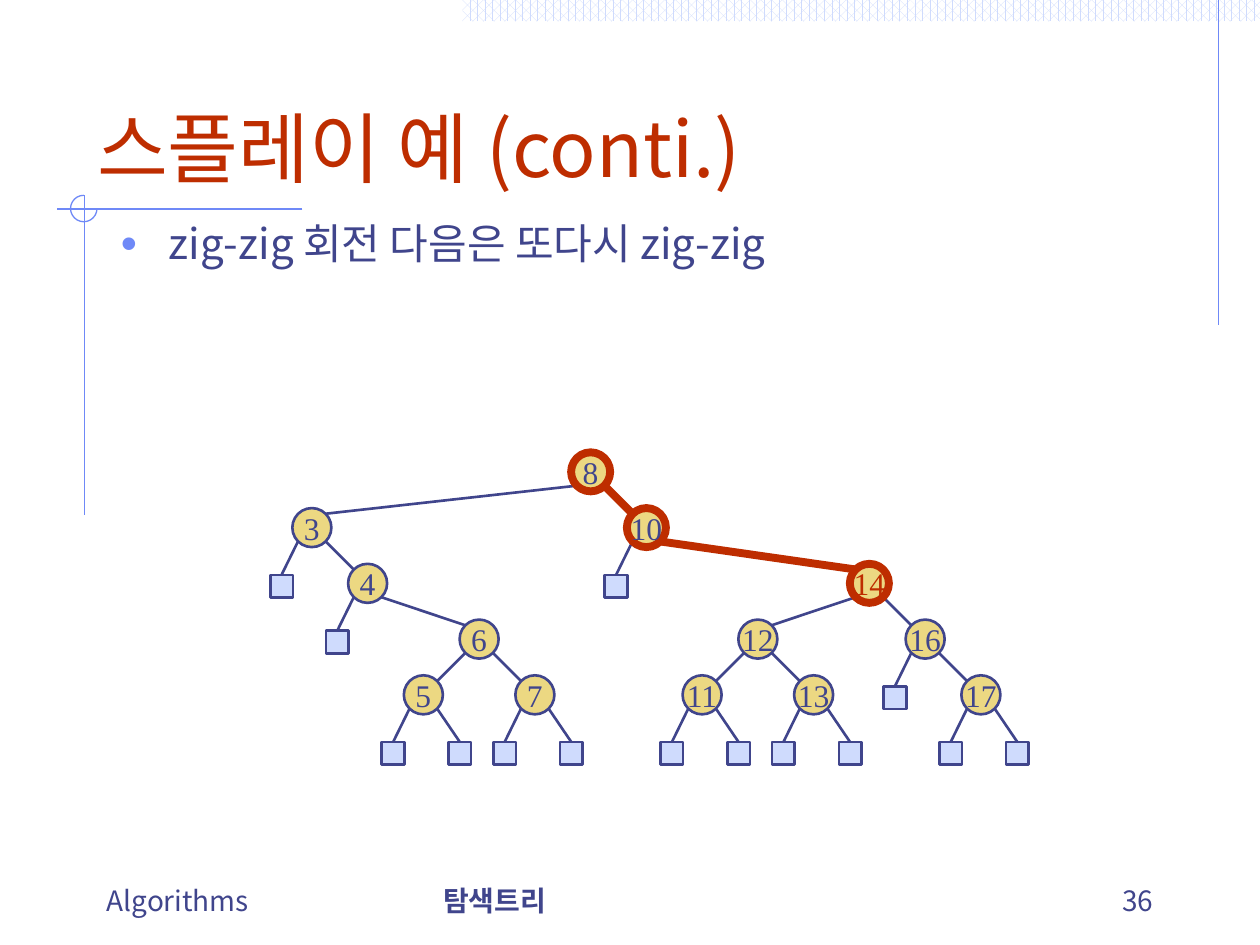
from lxml.etree import SubElement
from pptx import Presentation
from pptx.dml.color import RGBColor
from pptx.enum.dml import MSO_PATTERN
from pptx.enum.shapes import MSO_CONNECTOR, MSO_SHAPE
from pptx.enum.text import MSO_ANCHOR, MSO_AUTO_SIZE, PP_ALIGN
from pptx.oxml.ns import qn
from pptx.util import Inches, Pt

COLORS = {
    "ink": "40458C",
    "accent": "BE2D00",
    "rule": "6F89F7",
    "pale": "CFDBFD",
    "gold": "ECD882",
    "white": "FFFFFF",
}
SANS, SERIF = "Noto Sans CJK KR", "Times New Roman"

# key: (left child, right child); None is an external node
TREE = {
    8: (3, 10), 3: (None, 4), 4: (None, 6), 6: (5, 7),
    5: (None, None), 7: (None, None), 10: (None, 14), 14: (12, 16),
    12: (11, 13), 11: (None, None), 13: (None, None),
    16: (None, 17), 17: (None, None),
}
ROOT = 8
SPLAY_PATH = (8, 10, 14)
STEP = 0.4425
FIRST_X, FIRST_Y = 2.475, 3.745
NODE, LEAF = 0.31, 0.18
CORNER = 0.11
LEAF_DX = (-0.24, 0.29)
LEAF_DY = 0.375


def rgb(name):
    return RGBColor.from_string(COLORS[name])


def place(shape, x, y, w, h):
    shape.left, shape.top = Inches(x), Inches(y)
    shape.width, shape.height = Inches(w), Inches(h)


def write(shape, text, size=16, font=SANS, color="ink", bold=False,
          align=PP_ALIGN.LEFT, anchor=MSO_ANCHOR.BOTTOM, wrap=True, inset=None):
    tf = shape.text_frame
    tf.word_wrap = wrap
    tf.auto_size = MSO_AUTO_SIZE.NONE
    tf.vertical_anchor = anchor
    if inset is not None:
        tf.margin_left = tf.margin_right = Inches(inset)
        tf.margin_top = tf.margin_bottom = Inches(inset)
    p = tf.paragraphs[0]
    p.alignment = align
    r = p.add_run()
    r.text = text
    r.font.size, r.font.name, r.font.bold = Pt(size), font, bold
    r.font.color.rgb = rgb(color)
    SubElement(r.font._element, qn("a:ea")).set("typeface", font)
    return p


def add_bullet(p, color):
    p.line_spacing = 0.9
    p.space_before = Pt(5)
    pPr = p._p.get_or_add_pPr()
    pPr.set("marL", str(Inches(0.38)))
    pPr.set("indent", str(-Inches(0.38)))
    SubElement(SubElement(pPr, qn("a:buClr")), qn("a:srgbClr")).set("val", COLORS[color])
    SubElement(pPr, qn("a:buSzPct")).set("val", "110000")
    SubElement(pPr, qn("a:buChar")).set("char", "•")


def add_line(s, x1, y1, x2, y2, color="ink", width=1.5):
    line = s.shapes.add_connector(MSO_CONNECTOR.STRAIGHT, Inches(x1), Inches(y1),
                                  Inches(x2), Inches(y2))
    line.line.color.rgb = rgb(color)
    line.line.width = Pt(width)
    SubElement(line._element.spPr, qn("a:effectLst"))
    return line


def add_shape(s, kind, x, y, w, h, fill=None, color=None, width=1.5):
    sp = s.shapes.add_shape(kind, Inches(x), Inches(y), Inches(w), Inches(h))
    sp.shadow.inherit = False
    if fill:
        sp.fill.solid()
        sp.fill.fore_color.rgb = rgb(fill)
    else:
        sp.fill.background()
    if color:
        sp.line.color.rgb = rgb(color)
        sp.line.width = Pt(width)
    else:
        sp.line.fill.background()
    return sp


def add_decoration(s):
    band = add_shape(s, MSO_SHAPE.RECTANGLE, 3.67, 0, 6.33, 0.17)
    band.fill.patterned()
    band.fill.pattern = MSO_PATTERN.PERCENT_60
    band.fill.fore_color.rgb = rgb("pale")
    band.fill.back_color.rgb = rgb("white")
    for ends in ((9.67, 0, 9.67, 2.58), (2.4, 1.66, 0.45, 1.66), (0.67, 1.55, 0.67, 4.09)):
        add_line(s, *ends, color="rule", width=0.75)
    arc = add_shape(s, MSO_SHAPE.ARC, 0.56, 1.55, 0.21, 0.21, color="rule", width=0.75)
    arc.adjustments[0], arc.adjustments[1] = 0, 162  # 0 to 270 degrees


def node_centres():
    """Column is the rank of the key, row is its depth."""
    depth = {ROOT: 0}
    for key, children in TREE.items():
        depth.update({c: depth[key] + 1 for c in children if c})
    return {key: (FIRST_X + STEP * rank, FIRST_Y + STEP * depth[key])
            for rank, key in enumerate(sorted(TREE))}


def add_leaf(s, x, y, side):
    """External node below the internal node centred at x, y."""
    leaf_x, leaf_y = x + LEAF_DX[side], y + LEAF_DY
    leaf = add_shape(s, MSO_SHAPE.RECTANGLE, leaf_x - LEAF / 2, leaf_y,
                     LEAF, LEAF, "pale", "ink")
    sign = 2 * side - 1
    edge = add_line(s, leaf_x, leaf_y, x + sign * CORNER, y + CORNER)
    edge.begin_connect(leaf, 0)


def add_edge(s, parent, child, side, on_path):
    (px, py), (cx, cy) = parent, child
    dx = CORNER * (2 * side - 1)
    style = {"color": "accent", "width": 4.5} if on_path else {}
    add_line(s, cx - dx, cy - CORNER, px + dx, py + CORNER, **style)


def add_node(s, key, x, y):
    style = {"color": "accent", "width": 4.5} if key in SPLAY_PATH else {"color": "ink"}
    sp = add_shape(s, MSO_SHAPE.OVAL, x - NODE / 2, y - NODE / 2, NODE, NODE, "gold", **style)
    write(sp, str(key), size=18, font=SERIF, align=PP_ALIGN.CENTER,
          color="accent" if key == SPLAY_PATH[-1] else "ink",
          anchor=MSO_ANCHOR.MIDDLE, wrap=False, inset=0)


def add_tree(s):
    centres = node_centres()
    for key, children in TREE.items():
        for side, child in enumerate(children):
            if child is None:
                add_leaf(s, *centres[key], side)
            else:
                on_path = key in SPLAY_PATH and child in SPLAY_PATH
                add_edge(s, centres[key], centres[child], side, on_path)
    for key, centre in centres.items():
        add_node(s, key, *centre)


def add_footer(s):
    for text, x, w, style in (
        ("Algorithms", 0.75, 2.37, {}),
        ("탐색트리", 3.42, 3.17, {"bold": True}),
        ("36", 7.17, 2.08, {"align": PP_ALIGN.RIGHT}),
    ):
        box = s.shapes.add_textbox(Inches(x), Inches(6.83), Inches(w), Inches(0.5))
        write(box, text, **style)


def main():
    prs = Presentation()
    prs.slide_width, prs.slide_height = Inches(10), Inches(7.5)
    s = prs.slides.add_slide(prs.slide_layouts[1])
    add_decoration(s)
    title, body = s.placeholders
    place(title, 0.67, 0.33, 8.63, 1.25)
    write(title, "스플레이 예 (conti.)", size=44, color="accent")
    place(body, 0.86, 1.72, 8.36, 0.63)
    p = write(body, "zig-zig 회전 다음은 또다시 zig-zig", size=24, anchor=MSO_ANCHOR.TOP)
    add_bullet(p, "rule")
    add_footer(s)
    add_tree(s)
    prs.save("out.pptx")


if __name__ == "__main__":
    main()
